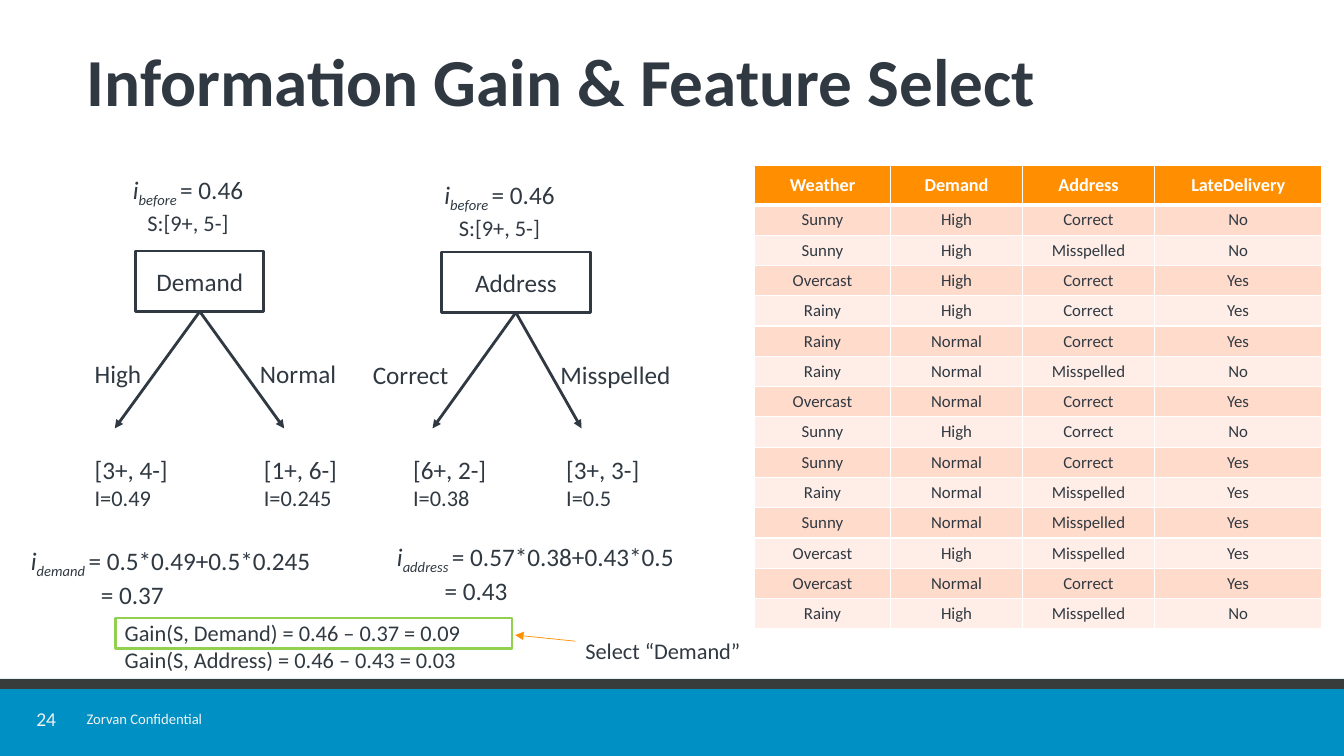
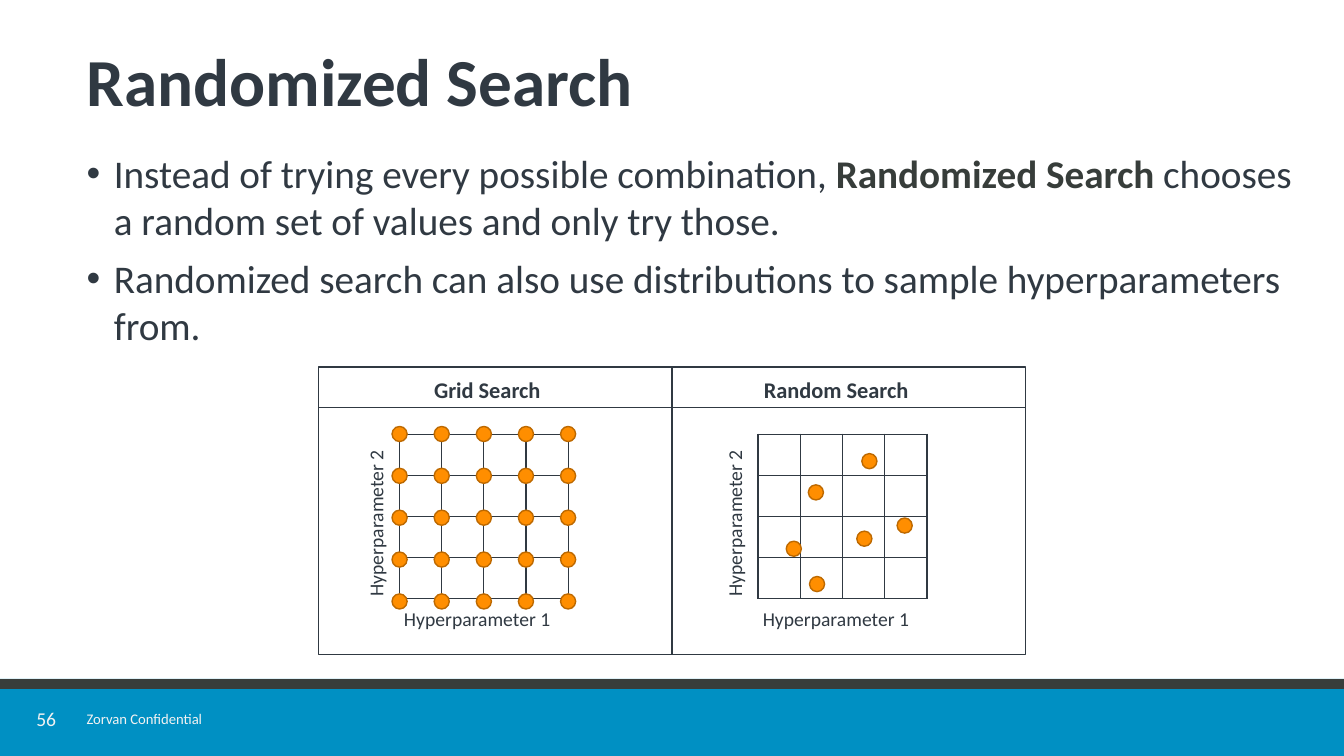
from lxml import etree
from pptx import Presentation
from pptx import util as u
from pptx.dml.color import RGBColor
from pptx.enum import shapes, text
from pptx.oxml.ns import qn

Pt = u.Pt
INK = {
    "text": "303942", "strong": "373D3A", "pale": "F2F2F2", "white": "FFFFFF",
    "band": "0090C3", "strip": "383D3B", "head": "FF8E00", "rim": "BD6900",
    "odd": "FFDBCC", "even": "FFEEE7", "pick": "92D050",
}
BASE = {"name": "Calibri", "size": 18, "bold": False, "italic": False, "ink": "text"}
MID = text.MSO_ANCHOR.MIDDLE
TOP = text.MSO_ANCHOR.TOP
MAIN = {"alignment": text.PP_ALIGN.CENTER}
SUB = {"italic": True, "sub": True}

ORDERS = """Sunny High Correct No
Sunny High Misspelled No
Overcast High Correct Yes
Rainy High Correct Yes
Rainy Normal Correct Yes
Rainy Normal Misspelled No
Overcast Normal Correct Yes
Sunny High Correct No
Sunny Normal Correct Yes
Rainy Normal Misspelled Yes
Sunny Normal Misspelled Yes
Overcast High Misspelled Yes
Overcast Normal Correct Yes
Rainy High Misspelled No"""


def tint(name):
    return RGBColor.from_string(INK[name])


# Text
def write(frame, paras, form=None, **look):
    """Each paragraph is a string or a list of (words, look) runs."""
    for i, runs in enumerate(paras):
        para = frame.paragraphs[0] if i == 0 else frame.add_paragraph()
        for key, val in (form or {}).items():
            setattr(para, key, val)
        for words, own in [(runs, {})] if isinstance(runs, str) else runs:
            run = para.add_run()
            run.text = words
            vals = BASE | look | own
            run.font.color.rgb = tint(vals.pop("ink"))
            vals["size"] = Pt(vals["size"])
            if vals.pop("sub", False):
                run._r.get_or_add_rPr().set("baseline", "-25000")
            for key, val in vals.items():
                setattr(run.font, key, val)


def label(slide, box, paras, form=None, anchor=TOP, wrap=True, turn=0, **look):
    shape = slide.shapes.add_textbox(*map(Pt, box))
    shape.rotation = turn
    frame = shape.text_frame
    frame.word_wrap = wrap
    frame.vertical_anchor = anchor
    write(frame, paras, form, **look)
    return frame


def indent(para, left, hang=0, mark=None):
    props = para._p.get_or_add_pPr()
    props.set("marL", str(Pt(left)))
    props.set("indent", str(-Pt(hang)))
    if mark:
        etree.SubElement(props, qn("a:buFont"), typeface="Arial")
        etree.SubElement(props, qn("a:buChar"), char=mark)


# Shapes and lines
def block(slide, box, fill=None, line=None, width=1, kind="RECTANGLE"):
    shape = slide.shapes.add_shape(getattr(shapes.MSO_SHAPE, kind), *map(Pt, box))
    shape.shadow.inherit = False
    for part, name in ((shape.fill, fill), (shape.line.fill, line)):
        if name:
            part.solid()
            part.fore_color.rgb = tint(name)
        else:
            part.background()
    if line:
        shape.line.width = Pt(width)
    return shape


def rule(slide, start, end, ink="text", width=1, arrow=False):
    line = slide.shapes.add_connector(
        shapes.MSO_CONNECTOR.STRAIGHT, *map(Pt, (*start, *end)))
    line.line.color.rgb = tint(ink)
    line.line.width = Pt(width)
    props = line._element.spPr
    if arrow:
        etree.SubElement(props.find(qn("a:ln")), qn("a:tailEnd"), type="triangle")
    etree.SubElement(props, qn("a:effectLst"))


# Tables
def edge(cell, ink, **wide):
    props = cell._tc.get_or_add_tcPr()
    for i, side in enumerate("LRTB"):
        line = etree.Element(qn(f"a:ln{side}"), w=str(Pt(wide.get(side, 1))))
        fill = etree.SubElement(line, qn("a:solidFill"))
        etree.SubElement(fill, qn("a:srgbClr"), val=INK[ink])
        props.insert(i, line)


def table(slide, left, top, cols, rows):
    grid = slide.shapes.add_table(
        len(rows), len(cols), *map(Pt, (left, top, sum(cols), sum(rows)))).table
    grid.first_row = grid.horz_banding = False
    for col, size in zip(grid.columns, cols):
        col.width = Pt(size)
    for row, size in zip(grid.rows, rows):
        row.height = Pt(size)
    return grid


def orders(slide):
    data = [["Weather", "Demand", "Address", "LateDelivery"]]
    data += [line.split() for line in ORDERS.splitlines()]
    grid = table(slide, 538.9, 118.4, [97.2, 94.3, 94.3, 119.5],
                 [28] + [21.6] * (len(data) - 1))
    for i, row in enumerate(data):
        look = {"size": 12} if i else {"size": 13, "bold": True, "ink": "white"}
        fill = ("odd" if i % 2 else "even") if i else "head"
        for j, word in enumerate(row):
            cell = grid.cell(i, j)
            cell.fill.solid()
            cell.fill.fore_color.rgb = tint(fill)
            cell.vertical_anchor = TOP if i else MID
            write(cell.text_frame, [word], MAIN, **look)
            edge(cell, "white", T=3 if i == 1 else 1, B=1 if i else 3)


# Shared title, bands and footer
def page(deck, title, num):
    slide = deck.slides.add_slide(deck.slide_layouts[6])
    block(slide, (0, 485, 960, 55), "band")
    block(slide, (0, 485, 960, 7), "strip")
    label(slide, (14, 503, 38, 21), [num], MAIN, MID, False, size=14, ink="pale")
    label(slide, (54.7, 503.3, 115, 20), ["Zorvan Confidential"], wrap=False,
          size=10.5, ink="pale")
    label(slide, (54.7, 23, 875, 78), [title], {"line_spacing": 0.8}, MID,
          size=48, bold=True)
    return slide


# Decision split: root box, two branches, leaves and the weighted sum
def split(slide, name, root, head, sides, leaves, total):
    left, top, wide = root
    label(slide, (*head, 124.6, 48),
          [[("i", {"italic": True}), ("before ", SUB), ("= 0.46", {})],
           [("S:[9+, 5-]", {"size": 16})]], MAIN)
    box = block(slide, (left, top, wide, 43.2), line="text", width=2)
    box.text_frame.vertical_anchor = MID
    write(box.text_frame, [name], MAIN)
    for word, x, y, tip in sides:
        rule(slide, (left + wide / 2, top + 43.2), (tip, 306), width=2, arrow=True)
        label(slide, (x, y, 99, 29), [word])
    for x, count, value in leaves:
        label(slide, (x, 321, 77, 48), [count, [(value, {"size": 16})]])
    x, y, formula, answer, shift = total
    frame = label(slide, (x, y, 268, 51),
                  [[("i", {"italic": True}), (f"{name.lower()} ", SUB), (formula, {})],
                   answer])
    indent(frame.paragraphs[1], shift)


def gain(deck):
    slide = page(deck, "Information Gain & Feature Select", "24")
    split(slide, "Demand", (97, 179.3, 91.4), (72, 121),
          [("High", 60.5, 252.7, 82), ("Normal", 178.6, 252.7, 203)],
          [(60.5, "[3+, 4-]", "I=0.49"), (181.4, "[1+, 6-]", "I=0.245")],
          (15, 386, "= 0.5*0.49+0.5*0.245", "= 0.37", 50))
    split(slide, "Address", (315.2, 180, 106.6), (294.5, 124.6),
          [("Correct", 259.2, 253.4, 309), ("Misspelled", 393.1, 253.4, 415.4)],
          [(288, "[6+, 2-]", "I=0.38"), (397.4, "[3+, 3-]", "I=0.5")],
          (276.5, 383, "= 0.57*0.38+0.43*0.5", "= 0.43", 34))
    # Comparison of gains
    label(slide, (82, 438.5, 317, 46),
          ["Gain(S, Demand) = 0.46 – 0.37 = 0.09",
           "Gain(S, Address) = 0.46 – 0.43 = 0.03"], size=16)
    block(slide, (82.8, 441.4, 283, 21.6), line="pick", width=2)
    label(slide, (411, 451.4, 145, 27), ["Select “Demand”"], size=16)
    rule(slide, (411, 458), (368, 453.6), "head", 0.5, True)
    orders(slide)


# Search panel: heading, axes, empty grid and sample dots
def panel(slide, name, left, head, dots):
    label(slide, (*head, 128, 27), [name], size=16, bold=True)
    label(slide, (left - 3.6, 430, 128, 24.5), ["Hyperparameter 1"], size=14)
    label(slide, (left - 80.6, 357, 128, 24.5), ["Hyperparameter 2"], turn=270, size=14)
    grid = table(slide, left, 310.2, [30.2] * 4, [29.3] * 4)
    for cell in grid.iter_cells():
        cell.fill.background()
        edge(cell, "text")
    for x, y in dots:
        block(slide, (x, y, 10.8, 10.8), "head", "rim", kind="OVAL")


def search(deck):
    slide = page(deck, "Randomized Search", "56")
    frame = label(slide, (54.7, 103, 885, 140),
                  [[("Instead of trying every possible combination, ", {}),
                    ("Randomized Search ", {"bold": True, "ink": "strong"}),
                    ("chooses a random set of values and only try those.", {})],
                   "Randomized search can also use distributions to sample "
                   "hyperparameters from."], size=28)
    for para in frame.paragraphs:
        indent(para, 19.5, 19.5, "•")
    frame.paragraphs[1].space_before = Pt(8)
    # Comparison frame
    block(slide, (227.5, 262, 505.2, 205.3), line="text")
    rule(slide, (480, 467.3), (480, 262))
    rule(slide, (227.5, 291), (732.7, 291))
    every = [(280 + 30.1 * i, 304.6 + 29.9 * j) for j in range(5) for i in range(5)]
    some = [(578.2, 411.8), (577.4, 346.3), (615.6, 324),
            (640.8, 370), (561.6, 386.6), (612, 379.4)]
    panel(slide, "Grid Search", 285.1, (303, 265), every)
    panel(slide, "Random Search", 541.4, (538.6, 265.3), some)


def main():
    deck = Presentation()
    deck.slide_width, deck.slide_height = Pt(960), Pt(540)
    gain(deck)
    search(deck)
    deck.save("out.pptx")


if __name__ == "__main__":
    main()
